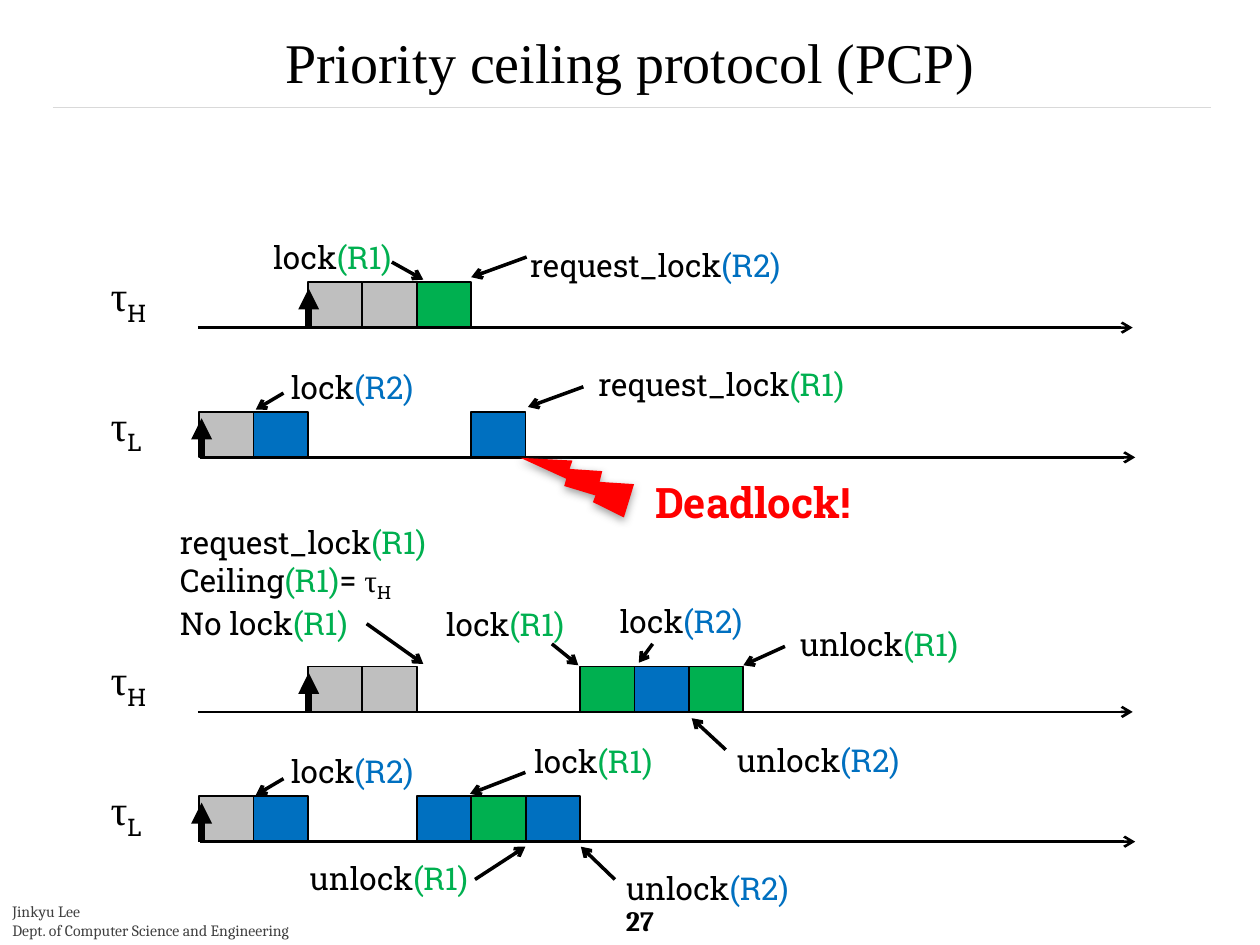
from lxml import etree
from pptx import Presentation
from pptx.dml.color import RGBColor
from pptx.enum.shapes import MSO_CONNECTOR, MSO_SHAPE
from pptx.enum.text import MSO_ANCHOR, MSO_AUTO_SIZE, PP_ALIGN
from pptx.oxml import parse_xml
from pptx.oxml.ns import nsdecls, qn
from pptx.util import Inches, Pt

STRAIGHT = MSO_CONNECTOR.STRAIGHT
RECTANGLE, BOLT = MSO_SHAPE.RECTANGLE, MSO_SHAPE.LIGHTNING_BOLT
TOP, MIDDLE = MSO_ANCHOR.TOP, MSO_ANCHOR.MIDDLE
CENTER, NO_AUTOFIT = PP_ALIGN.CENTER, MSO_AUTO_SIZE.NONE

BLACK = RGBColor(0x00, 0x00, 0x00)
GRAY = RGBColor(0xBF, 0xBF, 0xBF)
LIGHT_GRAY = RGBColor(0xD9, 0xD9, 0xD9)
DARK_GRAY = RGBColor(0x40, 0x40, 0x40)
GREEN = RGBColor(0x00, 0xB0, 0x50)
BLUE = RGBColor(0x00, 0x70, 0xC0)
RED = RGBColor(0xFF, 0x00, 0x00)
RESOURCE_COLORS = {"(R1)": GREEN, "(R2)": BLUE}

SERIF, SLAB, FOOTER_FONT = "Times New Roman", "Roboto Slab", "Cambria"
START, SLOT, BOX_HEIGHT = 1.58, 0.432, 0.36

deck = Presentation()
deck.slide_width, deck.slide_height = Inches(10), Inches(7.5)
page = deck.slides.add_slide(deck.slide_layouts[5])


def add_text(left, top, width, height, lines, size=18, font=SLAB,
             color=BLACK, bold=False):
    """Add a text box; each line is a list of spans styled by what they say."""
    box = page.shapes.add_textbox(Inches(left), Inches(top), Inches(width), Inches(height))
    frame = box.text_frame
    frame.word_wrap = True
    for index, line in enumerate(lines):
        para = frame.add_paragraph() if index else frame.paragraphs[0]
        para.font.size, para.font.name, para.font.bold = Pt(size), font, bold
        for text in line:
            span = para.add_run()
            span.text = text
            span.font.color.rgb = RESOURCE_COLORS.get(text, color)
            if text.strip() == "τ":
                span.font.name = SERIF
            elif text in ("H", "L"):
                span.font._element.set("baseline", "-25000")
    return box


def add_line(start, end, width, color=BLACK, arrowhead=None):
    x1, y1, x2, y2 = (Inches(value) for value in (*start, *end))
    line = page.shapes.add_connector(STRAIGHT, x1, y1, x2, y2)
    line.line.color.rgb = color
    line.line.width = Pt(width)
    if arrowhead:
        outline = line.line._get_or_add_ln()
        etree.SubElement(outline, qn("a:tailEnd"), type=arrowhead)
    etree.SubElement(line._element.spPr, qn("a:effectLst"))


# Title, rule and footer
title = page.shapes.title
title.left, title.top, title.width, title.height = Inches(0), Inches(0.17), Inches(10), Inches(0.6)
title.text_frame.text = "Priority ceiling protocol (PCP)"
title.text_frame.auto_size = NO_AUTOFIT
title.text_frame.vertical_anchor = TOP
heading = title.text_frame.paragraphs[0]
heading.alignment = CENTER
heading.font.size, heading.font.name = Pt(32), SERIF
heading.font.color.rgb = BLACK

add_line((0.42, 0.85), (9.61, 0.85), 0.1, LIGHT_GRAY)
number = add_text(4.87, 7.15, 0.66, 0.31, [["27"]], 16, FOOTER_FONT, bold=True)
number.text_frame.vertical_anchor = MIDDLE
add_text(0, 7.11, 2.76, 0.4, [["Jinkyu Lee"], ["Dept. of Computer Science and Engineering"]],
         9, FOOTER_FONT, DARK_GRAY)

# Timelines: task, axis left, axis height, release time, {slot: fill}
timelines = [
    ("H", 1.57, 2.60, 2.45, {2: GRAY, 3: GRAY, 4: GREEN}),
    ("L", 1.59, 3.63, 1.60, {0: GRAY, 1: BLUE, 5: BLUE}),
    ("H", 1.57, 5.65, 2.45, {2: GRAY, 3: GRAY, 7: GREEN, 8: BLUE, 9: GREEN}),
    ("L", 1.59, 6.68, 1.60, {0: GRAY, 1: BLUE, 4: BLUE, 5: GREEN, 6: BLUE}),
]
for task, axis_left, axis, release, slots in timelines:
    add_text(0.78, axis - 0.51, 0.64, 0.5, [["τ", task]], 24)
    for slot, fill in slots.items():
        box = page.shapes.add_shape(RECTANGLE, Inches(START + slot * SLOT), Inches(axis - BOX_HEIGHT),
                                    Inches(SLOT), Inches(BOX_HEIGHT))
        box.shadow.inherit = False
        box.fill.solid()
        box.fill.fore_color.rgb = fill
        box.line.color.rgb = BLACK
        box.line.width = Pt(1)
    add_line((axis_left, axis), (axis_left + 7.42, axis), 1.5, arrowhead="arrow")
    add_line((release, axis), (release, axis - 0.31), 4, arrowhead="triangle")

# Lock events: action, resource, label left and top, arrow start, arrow end
events = [
    ("lock", "(R1)", 2.07, 1.84, (3.11, 2.08), (3.36, 2.22)),
    ("request_lock", "(R2)", 4.11, 1.90, (4.18, 2.04), (3.74, 2.20)),
    ("lock", "(R2)", 2.21, 2.87, (2.25, 3.12), (2.03, 3.25)),
    ("request_lock", "(R1)", 4.65, 2.85, (4.63, 3.07), (4.19, 3.23)),
    ("lock", "(R1)", 3.44, 4.75, (4.38, 5.11), (4.59, 5.28)),
    ("lock", "(R2)", 4.82, 4.73, (5.18, 5.11), (5.07, 5.26)),
    ("unlock", "(R1)", 6.25, 4.91, (6.23, 5.13), (5.90, 5.28)),
    ("unlock", "(R2)", 5.75, 5.83, (5.76, 5.95), (5.49, 5.70)),
    ("lock", "(R2)", 2.21, 5.92, (2.25, 6.18), (2.03, 6.31)),
    ("lock", "(R1)", 4.14, 5.84, (4.17, 6.13), (3.73, 6.30)),
    ("unlock", "(R1)", 2.36, 6.77, (3.77, 6.98), (4.17, 6.72)),
    ("unlock", "(R2)", 4.87, 6.85, (4.88, 6.98), (4.61, 6.72)),
]
label_widths = {"lock": 1.41, "unlock": 1.62, "request_lock": 2.24}
for action, resource, left, top, start, end in events:
    add_text(left, top, label_widths[action], 0.4, [[action, resource]])
    add_line(start, end, 2, arrowhead="arrow")

# Denied request under the ceiling rule
add_text(1.33, 4.1, 2.61, 1.01, [
    ["request_lock", "(R1)"],
    ["Ceiling", "(R1)", "=", " τ", "H"],
    ["No lock", "(R1)"],
])
add_line((2.91, 4.95), (3.36, 5.27), 2, arrowhead="arrow")

# Deadlock marker
bolt = page.shapes.add_shape(BOLT, Inches(4.34), Inches(3.36), Inches(0.58), Inches(0.88))
bolt.rotation = 141.8
bolt.fill.solid()
bolt.fill.fore_color.rgb = RED
bolt.line.fill.background()
bolt._element.spPr.append(parse_xml(
    f'<a:effectLst {nsdecls("a")}><a:outerShdw blurRad="63500" dist="25400" dir="5400000" '
    'rotWithShape="0"><a:srgbClr val="808080"><a:alpha val="75000"/></a:srgbClr>'
    '</a:outerShdw></a:effectLst>'))
add_text(5.1, 3.73, 2.52, 0.5, [["Deadlock!"]], 24, color=RED, bold=True)

deck.save("out.pptx")
